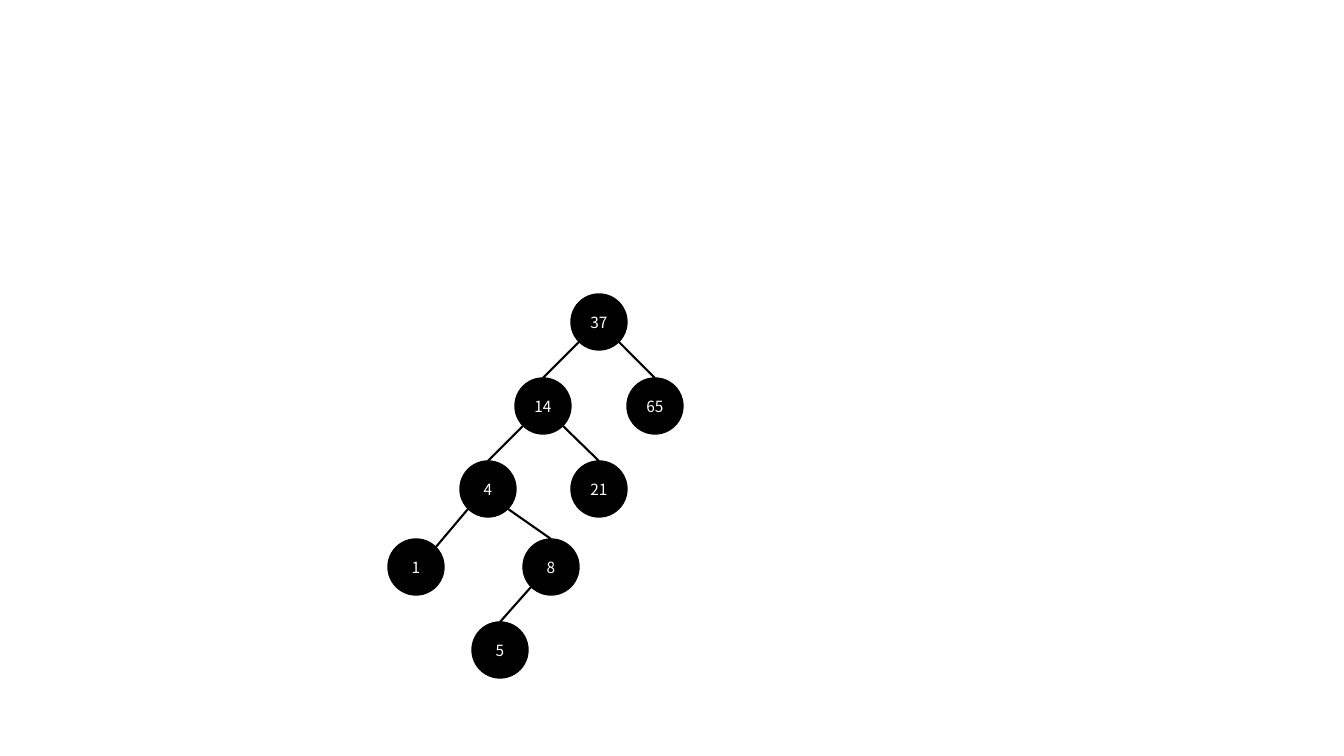
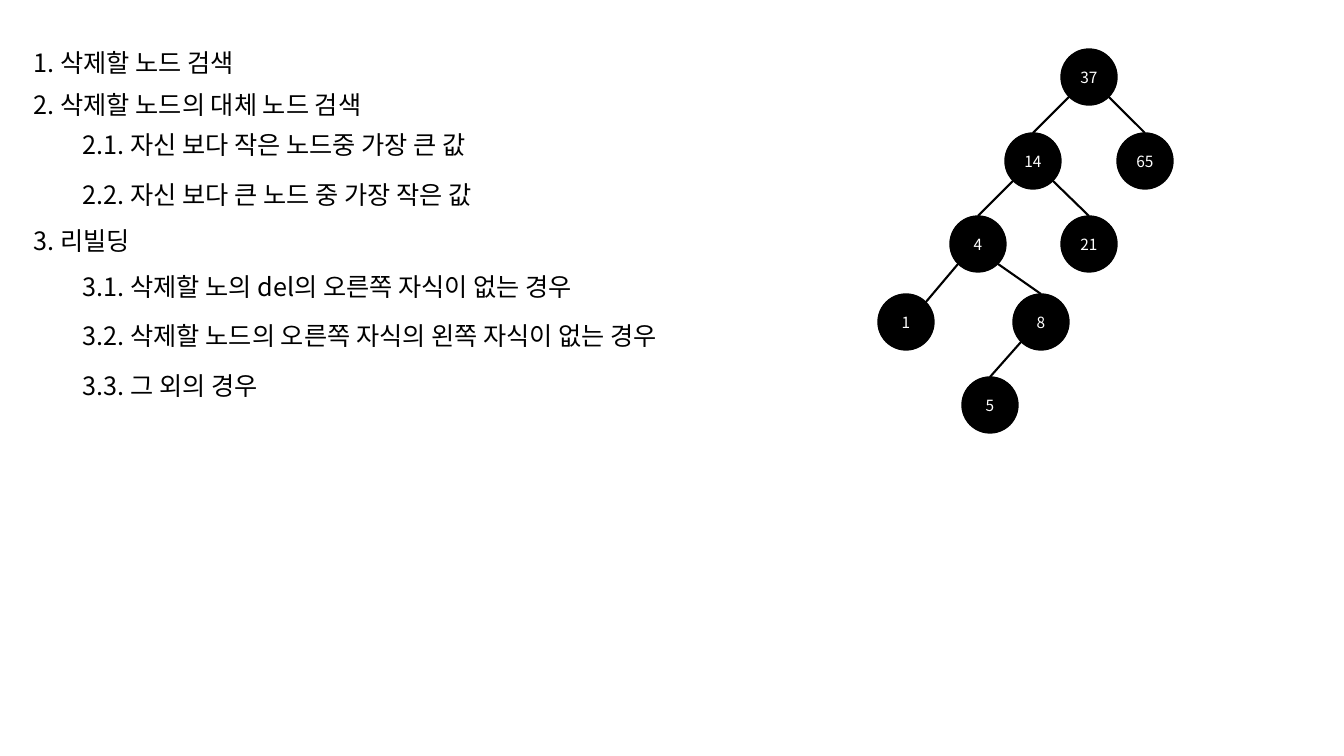
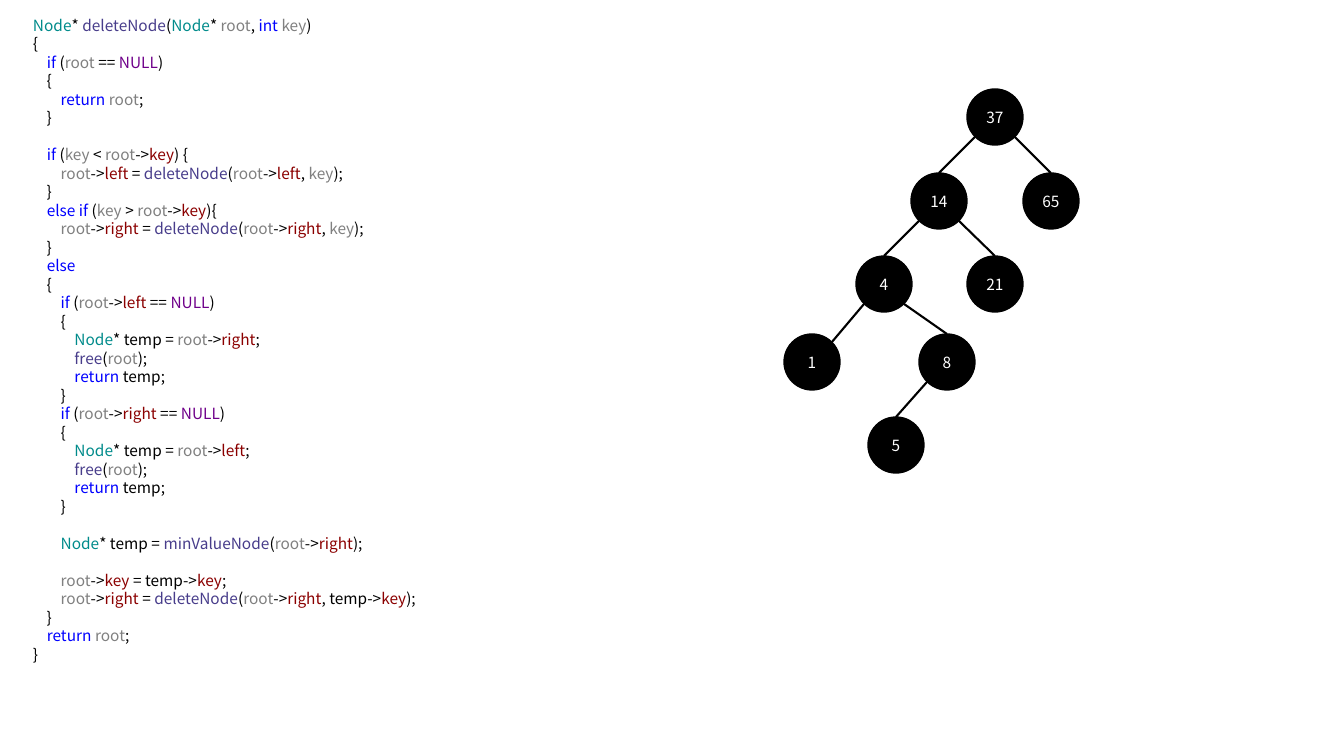
from dataclasses import dataclass
from itertools import groupby
from math import sqrt

from lxml.etree import SubElement
from pptx import Presentation
from pptx.dml.color import RGBColor
from pptx.enum.shapes import MSO_CONNECTOR as Connector, MSO_SHAPE as Shape
from pptx.enum.text import MSO_ANCHOR as Anchor, PP_ALIGN as Align
from pptx.oxml.ns import qn
from pptx.util import Pt

EMU_PER_PX = 914400 / 100.8


@dataclass(frozen=True)
class Theme:
    font: str = "Noto Sans CJK KR"
    ink: str = "000000"
    paper: str = "FFFFFF"
    type_name: str = "008B8B"
    function: str = "483D8B"
    variable: str = "808080"
    keyword: str = "0000FF"
    constant: str = "6F008A"
    member: str = "8B0000"
    outline_size: int = 18
    small_size: int = 11
    leading: float = 1.2
    node_line: float = 1
    edge_line: float = 1.5


THEME = Theme()

# Node label: offset of its circle from the root's circle
NODE_SIZE = 56
NODES = {
    "37": (0, 0),
    "14": (-56, 84),
    "65": (56, 84),
    "4": (-111, 167),
    "21": (0, 167),
    "1": (-183, 245),
    "8": (-48, 245),
    "5": (-99, 328),
}
# Parent, child, where the edge meets the child
EDGES = [
    ("37", "14", "top"),
    ("37", "65", "top"),
    ("14", "4", "top"),
    ("14", "21", "top"),
    ("4", "1", "corner"),
    ("4", "8", "top"),
    ("8", "5", "top"),
]
# Left and top of the root's circle on each slide
TREE_ROOTS = [(571, 294), (1061, 49), (967, 89)]

# Level, top, width, text
LEVEL_LEFT = [24, 73]
OUTLINE = [
    (0, 42, 245, "1. 삭제할 노드 검색"),
    (0, 84, 399, "2. 삭제할 노드의 대체 노드 검색"),
    (1, 124, 454, "2.1. 자신 보다 작은 노드중 가장 큰 값"),
    (1, 174, 472, "2.2. 자신 보다 큰 노드 중 가장 작은 값"),
    (0, 220, 127, "3. 리빌딩"),
    (1, 266, 564, "3.1. 삭제할 노의 del의 오른쪽 자식이 없는 경우"),
    (1, 315, 666, "3.2. 삭제할 노드의 오른쪽 자식의 왼쪽 자식이 없는 경우"),
    (1, 365, 218, "3.3. 그 외의 경우"),
]

CODE_BOX = (23, 11, 672, 664)
CODE = """\
Node* deleteNode(Node* root, int key)
{
    if (root == NULL)
    {
        return root;
    }

    if (key < root->key) {
        root->left = deleteNode(root->left, key);
    }
    else if (key > root->key){
        root->right = deleteNode(root->right, key);
    }
    else
    {
        if (root->left == NULL)
        {
            Node* temp = root->right;
            free(root);
            return temp;
        }
        if (root->right == NULL)
        {
            Node* temp = root->left;
            free(root);
            return temp;
        }

        Node* temp = minValueNode(root->right);

        root->key = temp->key;
        root->right = deleteNode(root->right, temp->key);
    }
    return root;
}"""
WORD_COLORS = {
    "Node": THEME.type_name,
    "NULL": THEME.constant,
    **dict.fromkeys(["deleteNode", "free", "minValueNode"], THEME.function),
    **dict.fromkeys(["int", "if", "else", "return"], THEME.keyword),
    **dict.fromkeys(["root", "key"], THEME.variable),
}


def px(*lengths):
    return [round(length * EMU_PER_PX) for length in lengths]


def rgb(color):
    return RGBColor.from_string(color)


def style_span(span, size, color):
    span.font.size = Pt(size)
    span.font.name = THEME.font
    span.font.color.rgb = rgb(color)
    SubElement(span.font._element, qn("a:ea"), typeface=THEME.font)


def write_spans(para, spans, size):
    """Fill a paragraph with (text, color) spans at the shared leading."""
    para.line_spacing = Pt(size * THEME.leading)
    for text, color in spans:
        span = para.add_run()
        span.text = text
        style_span(span, size, color)


def add_text_box(page, left, top, width, height):
    box = page.shapes.add_textbox(*px(left, top, width, height))
    box.text_frame.word_wrap = True
    return box.text_frame


def add_node(page, label, left, top):
    node = page.shapes.add_shape(Shape.OVAL, *px(left, top, NODE_SIZE, NODE_SIZE))
    node.shadow.inherit = False
    node.fill.solid()
    node.fill.fore_color.rgb = rgb(THEME.ink)
    node.line.color.rgb = rgb(THEME.ink)
    node.line.width = Pt(THEME.node_line)
    frame = node.text_frame
    frame.vertical_anchor = Anchor.MIDDLE
    para = frame.paragraphs[0]
    para.alignment = Align.CENTER
    write_spans(para, [(label, THEME.paper)], THEME.small_size)


def add_edge(page, start, end):
    edge = page.shapes.add_connector(Connector.STRAIGHT, *px(*start, *end))
    edge.line.color.rgb = rgb(THEME.ink)
    edge.line.width = Pt(THEME.edge_line)
    SubElement(edge._element.spPr, qn("a:effectLst"))


def add_tree(page, root_left, root_top):
    radius = NODE_SIZE / 2
    diagonal = radius / sqrt(2)
    centers = {}
    for label, (dx, dy) in NODES.items():
        left, top = root_left + dx, root_top + dy
        centers[label] = left + radius, top + radius
        add_node(page, label, left, top)
    for parent, child, meeting in EDGES:
        (x1, y1), (x2, y2) = centers[parent], centers[child]
        side = diagonal if x2 > x1 else -diagonal
        start = x1 + side, y1 + diagonal
        if meeting == "corner":
            end = x2 - side, y2 - diagonal
        else:
            end = x2, y2 - radius
        add_edge(page, start, end)


def add_outline(page):
    for level, top, width, text in OUTLINE:
        frame = add_text_box(page, LEVEL_LEFT[level], top, width, 40)
        write_spans(frame.paragraphs[0], [(text, THEME.ink)], THEME.outline_size)


def color_code(line):
    """Split a line of code into (text, color) spans."""
    spans = []
    previous = ""
    for is_word, letters in groupby(line, key=str.isalnum):
        text = "".join(letters)
        if is_word and previous.endswith("->"):
            color = THEME.member
        else:
            color = WORD_COLORS.get(text, THEME.ink)
        spans.append((text, color))
        previous = text
    return spans


def add_code(page):
    frame = add_text_box(page, *CODE_BOX)
    para = frame.paragraphs[0]
    for block_number, block in enumerate(CODE.split("\n\n")):
        for line_number, line in enumerate(block.split("\n")):
            if block_number or line_number:
                para = frame.add_paragraph()
            if block_number and not line_number:
                para.space_before = Pt(THEME.small_size * THEME.leading)
            write_spans(para, color_code(line), THEME.small_size)


def main():
    deck = Presentation()
    deck.slide_width, deck.slide_height = px(1344, 756)
    blank = deck.slide_layouts[6]
    pages = [deck.slides.add_slide(blank) for _ in TREE_ROOTS]
    for page, root in zip(pages, TREE_ROOTS):
        add_tree(page, *root)
    add_outline(pages[1])
    add_code(pages[2])
    deck.save("out.pptx")


if __name__ == "__main__":
    main()
